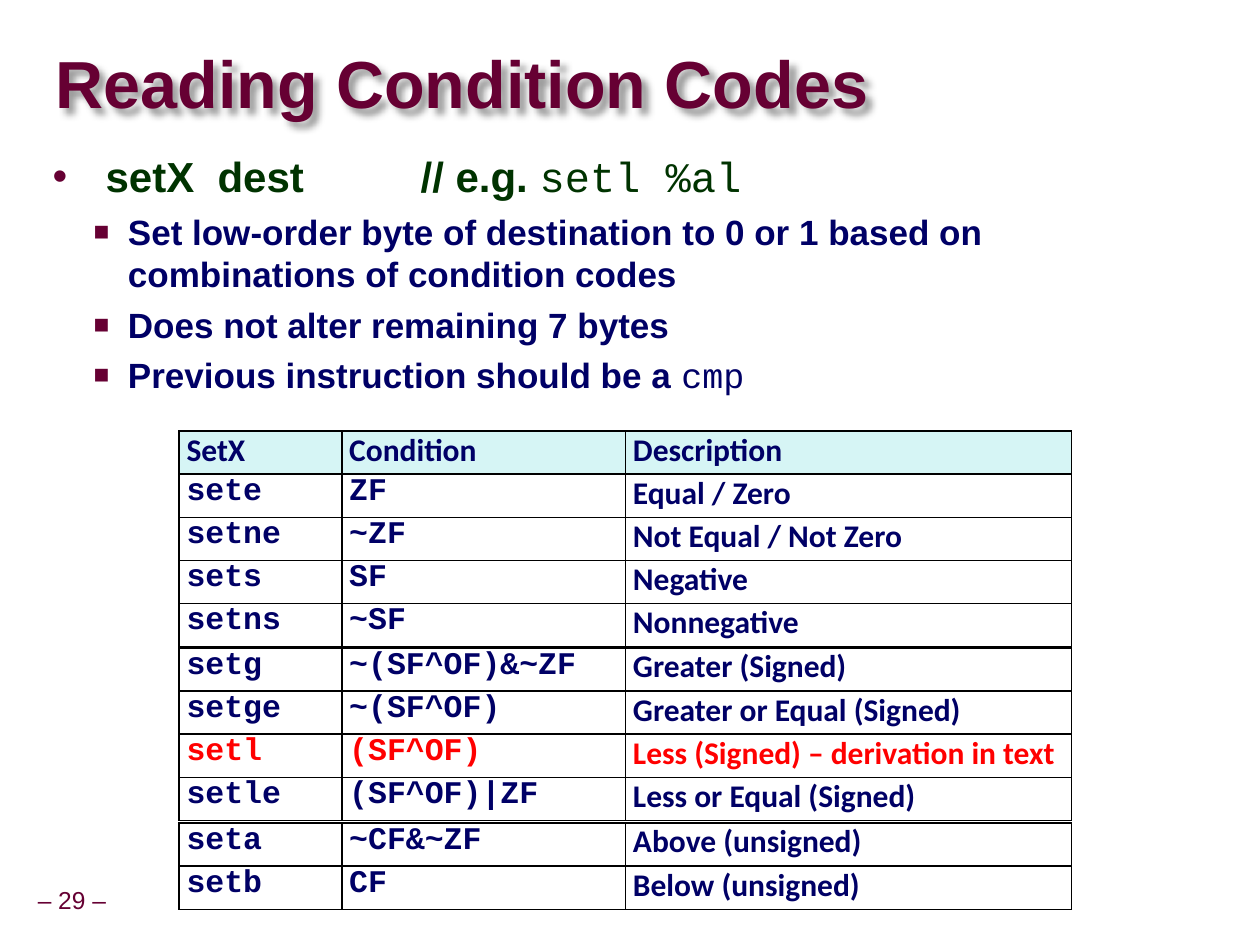
"""Build the slide on reading condition codes with the setX instructions."""
from lxml.etree import SubElement
from pptx import Presentation
from pptx.dml.color import RGBColor
from pptx.enum.text import MSO_ANCHOR as Anchor, PP_ALIGN as Align
from pptx.oxml.ns import qn
from pptx.util import Cm, Pt

MAROON = RGBColor(0x66, 0x00, 0x33)
GREEN = RGBColor(0x00, 0x33, 0x00)
NAVY = RGBColor(0x00, 0x00, 0x66)
RED = RGBColor(0xFF, 0x00, 0x00)
BLACK = RGBColor(0x00, 0x00, 0x00)
PALE_CYAN = RGBColor(0xD6, 0xF5, 0xF5)
SANS, TABLE_FONT, CODE = "Arial", "Calibri", "Courier New"

TABLE_LEFT, ROW_HEIGHT = Cm(3.61), Cm(0.87)
COLUMN_WIDTHS = [Cm(3.28), Cm(5.72), Cm(8.99)]
HEADER = ("SetX", "Condition", "Description")
HIGHLIGHTED = "setl"
TABLES = [
    (Cm(8.69), [
        HEADER,
        ("sete", "ZF", "Equal / Zero"),
        ("setne", "~ZF", "Not Equal / Not Zero"),
        ("sets", "SF", "Negative"),
        ("setns", "~SF", "Nonnegative"),
    ]),
    (Cm(13.06), [
        ("setg", "~(SF^OF)&~ZF", "Greater (Signed)"),
        ("setge", "~(SF^OF)", "Greater or Equal (Signed)"),
        ("setl", "(SF^OF)", "Less (Signed) – derivation in text"),
        ("setle", "(SF^OF)|ZF", "Less or Equal (Signed)"),
    ]),
    (Cm(16.59), [
        ("seta", "~CF&~ZF", "Above (unsigned)"),
        ("setb", "CF", "Below (unsigned)"),
    ]),
]
DETAILS = [
    ("Set low-order byte of destination to 0 or 1 based on "
     "combinations of condition codes", ""),
    ("Does not alter remaining 7 bytes", ""),
    ("Previous instruction should be a ", "cmp"),
]


def add_run(paragraph, text, size, color, font=SANS, bold=True):
    run = paragraph.add_run()
    run.text = text
    run.font.size = Pt(size)
    run.font.name = font
    run.font.bold = bold
    run.font.color.rgb = color


def add_text_box(slide, left, top, width, height, margins=(0, 0), wrap=True):
    shape = slide.shapes.add_textbox(left, top, width, height)
    frame = shape.text_frame
    frame.word_wrap = wrap
    frame.margin_left = frame.margin_right = margins[0]
    frame.margin_top = frame.margin_bottom = margins[1]
    return shape


def set_indent(paragraph, margin, hanging):
    properties = paragraph._p.get_or_add_pPr()
    properties.set("marL", str(margin))
    properties.set("indent", str(-hanging))
    return properties


def set_bullet(paragraph, character, margin, hanging, percent=100):
    properties = set_indent(paragraph, margin, hanging)
    color = SubElement(properties, qn("a:buClr"))
    SubElement(color, qn("a:srgbClr"), val=str(MAROON))
    SubElement(properties, qn("a:buSzPct"), val=str(percent * 1000))
    SubElement(properties, qn("a:buFont"), typeface=SANS)
    SubElement(properties, qn("a:buChar"), char=character)
    return properties


def add_shadow(shape):
    effects = SubElement(shape._element.spPr, qn("a:effectLst"))
    shadow = SubElement(effects, qn("a:outerShdw"), blurRad=str(Pt(4)),
                        dist=str(Pt(4)), dir="2700000", algn="tl")
    color = SubElement(shadow, qn("a:srgbClr"), val=str(BLACK))
    SubElement(color, qn("a:alpha"), val="40000")


def add_title(slide):
    shape = add_text_box(slide, Cm(1.12), Cm(0.69), Cm(24.21), Cm(2.16))
    add_shadow(shape)
    shape.text_frame.vertical_anchor = Anchor.MIDDLE
    paragraph = shape.text_frame.paragraphs[0]
    set_indent(paragraph, Cm(0.33), Cm(0.33))
    paragraph.line_spacing = 0.87
    add_run(paragraph, "Reading Condition Codes", 38, MAROON)


def add_body(slide):
    frame = add_text_box(slide, Cm(0.81), Cm(2.97), Cm(23.09), Cm(14.5),
                         (Cm(0.25), Cm(0.13))).text_frame
    paragraph = frame.paragraphs[0]
    properties = set_bullet(paragraph, "•", Cm(1.07), Cm(1.07))
    tabs = SubElement(properties, qn("a:tabLst"))
    SubElement(tabs, qn("a:tab"), pos=str(Cm(7.42)), algn="l")
    paragraph.line_spacing = 0.95
    add_run(paragraph, "setX  dest\t// e.g. ", 24, GREEN)
    add_run(paragraph, "setl %al", 24, GREEN, CODE, False)
    for text, code in DETAILS:
        paragraph = frame.add_paragraph()
        paragraph.level = 1
        set_bullet(paragraph, "■", Cm(1.52), Cm(0.69), 75)
        paragraph.space_before = Pt(5)
        add_run(paragraph, text, 20, NAVY)
        if code:
            add_run(paragraph, code, 20, NAVY, CODE, False)


def set_borders(cell):
    properties = cell._tc.get_or_add_tcPr()
    for side in ("lnL", "lnR", "lnT", "lnB"):
        line = SubElement(properties, qn(f"a:{side}"), w=str(Pt(1)))
        fill = SubElement(line, qn("a:solidFill"))
        SubElement(fill, qn("a:srgbClr"), val=str(BLACK))


def fill_cell(cell, text, font, color, is_header):
    set_borders(cell)
    cell.margin_left = cell.margin_right = Cm(0.15)
    cell.margin_top = cell.margin_bottom = 0
    if is_header:
        cell.fill.solid()
        cell.fill.fore_color.rgb = PALE_CYAN
    else:
        cell.fill.background()
    add_run(cell.text_frame.paragraphs[0], text, 18, color, font)


def add_condition_table(slide, top, rows):
    table = slide.shapes.add_table(
        len(rows), len(COLUMN_WIDTHS), TABLE_LEFT, top,
        sum(COLUMN_WIDTHS), ROW_HEIGHT * len(rows)).table
    table.first_row = table.horz_banding = False
    for column, width in zip(table.columns, COLUMN_WIDTHS):
        column.width = width
    for row_index, row in enumerate(rows):
        is_header = row == HEADER
        color = RED if row[0] == HIGHLIGHTED else NAVY
        for column_index, text in enumerate(row):
            font = TABLE_FONT if is_header or column_index == 2 else CODE
            fill_cell(table.cell(row_index, column_index), text, font,
                      color, is_header)


def add_page_number(slide):
    frame = add_text_box(slide, Cm(0.61), Cm(17.78), Cm(1.68), Cm(0.79),
                         (Cm(0.13), Cm(0.13)), False).text_frame
    frame.vertical_anchor = Anchor.MIDDLE
    paragraph = frame.paragraphs[0]
    paragraph.alignment = Align.CENTER
    paragraph.line_spacing = 0.9
    add_run(paragraph, "– 29 –", 14, MAROON, bold=False)


def main():
    presentation = Presentation()
    presentation.slide_width, presentation.slide_height = Cm(25.4), Cm(19.05)
    slide = presentation.slides.add_slide(presentation.slide_layouts[6])
    add_page_number(slide)
    add_title(slide)
    add_body(slide)
    for top, rows in TABLES:
        add_condition_table(slide, top, rows)
    presentation.save("out.pptx")


if __name__ == "__main__":
    main()
